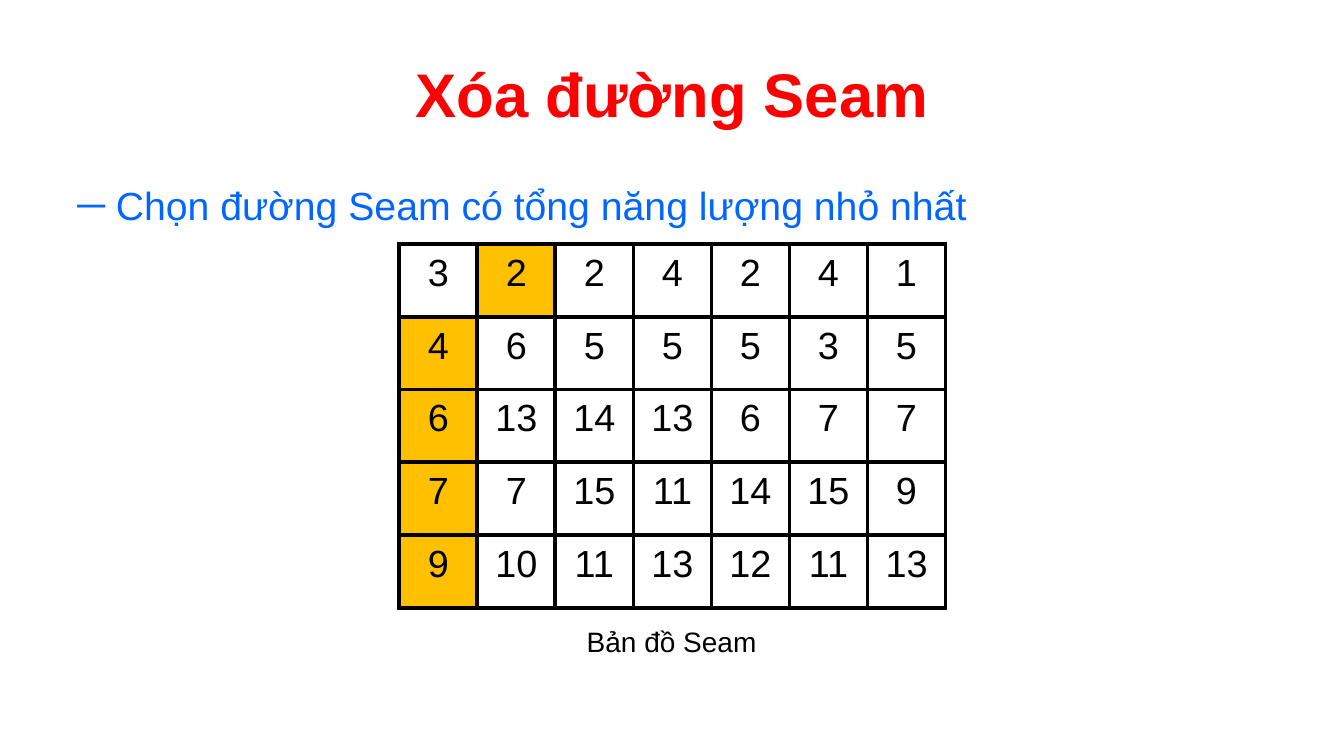
"""Build the slide showing the seam map and its lowest-energy seam."""
import lxml.etree
import pptx
import pptx.util
import pptx.dml.color
import pptx.enum.text
import pptx.oxml.ns

Inches = pptx.util.Inches
Pt = pptx.util.Pt
Align = pptx.enum.text.PP_ALIGN
Anchor = pptx.enum.text.MSO_ANCHOR
qn = pptx.oxml.ns.qn


def paint(color, code):
    color.rgb = pptx.dml.color.RGBColor.from_string(code)


def write(para, text, size, code, bold=False):
    run = para.add_run()
    run.text = text
    run.font.name = "Arial"
    run.font.size = Pt(size)
    run.font.bold = bold
    paint(run.font.color, code)


deck = pptx.Presentation()
deck.slide_width = Inches(13.33)
deck.slide_height = Inches(7.5)
slide = deck.slides.add_slide(deck.slide_layouts[5])

title = slide.shapes.title
title.left, title.top = Inches(0.67), Inches(0.3)
title.width, title.height = Inches(12), Inches(1.25)
title.text_frame.vertical_anchor = Anchor.MIDDLE
para = title.text_frame.paragraphs[0]
para.alignment = Align.CENTER
write(para, "Xóa đường Seam", 44, "FF0000", True)

body = slide.shapes.add_textbox(Inches(0.67), Inches(1.75), Inches(12), Inches(4.95))
body.text_frame.word_wrap = True
para = body.text_frame.paragraphs[0]
props = para._p.get_or_add_pPr()
props.set("marL", str(Inches(0.38)))
props.set("indent", str(-Inches(0.38)))
lxml.etree.SubElement(props, qn("a:buFont"), typeface="Arial")
lxml.etree.SubElement(props, qn("a:buChar"), char="─")
write(para, "Chọn đường Seam có tổng năng lượng nhỏ nhất", 28, "0066FF")

costs = [
    [3, 2, 2, 4, 2, 4, 1],
    [4, 6, 5, 5, 5, 3, 5],
    [6, 13, 14, 13, 6, 7, 7],
    [7, 7, 15, 11, 14, 15, 9],
    [9, 10, 11, 13, 12, 11, 13],
]
seam = [1, 0, 0, 0, 0]
frame = slide.shapes.add_table(
    len(costs), len(costs[0]), Inches(3.96), Inches(2.42), Inches(5.42), Inches(3.61))
table = frame.table
table.first_row = False
table.horz_banding = False
for r, line in enumerate(costs):
    for c, cost in enumerate(line):
        cell = table.cell(r, c)
        cell.margin_left = cell.margin_right = Inches(0.15)
        cell.margin_top = cell.margin_bottom = Inches(0.08)
        props = cell._tc.get_or_add_tcPr()
        for side in ("a:lnL", "a:lnR", "a:lnT", "a:lnB"):
            edge = lxml.etree.SubElement(props, qn(side), w=str(Pt(3)))
            fill = lxml.etree.SubElement(edge, qn("a:solidFill"))
            lxml.etree.SubElement(fill, qn("a:srgbClr"), val="000000")
        if c == seam[r]:
            cell.fill.solid()
            paint(cell.fill.fore_color, "FFC000")
        else:
            cell.fill.background()
        para = cell.text_frame.paragraphs[0]
        para.alignment = Align.CENTER
        write(para, str(cost), 27, "000000")

label = slide.shapes.add_textbox(Inches(5.72), Inches(6.15), Inches(1.9), Inches(0.44))
label.text_frame.word_wrap = False
label.text_frame.auto_size = pptx.enum.text.MSO_AUTO_SIZE.SHAPE_TO_FIT_TEXT
write(label.text_frame.paragraphs[0], "Bản đồ Seam", 20, "000000")

deck.save("out.pptx")
